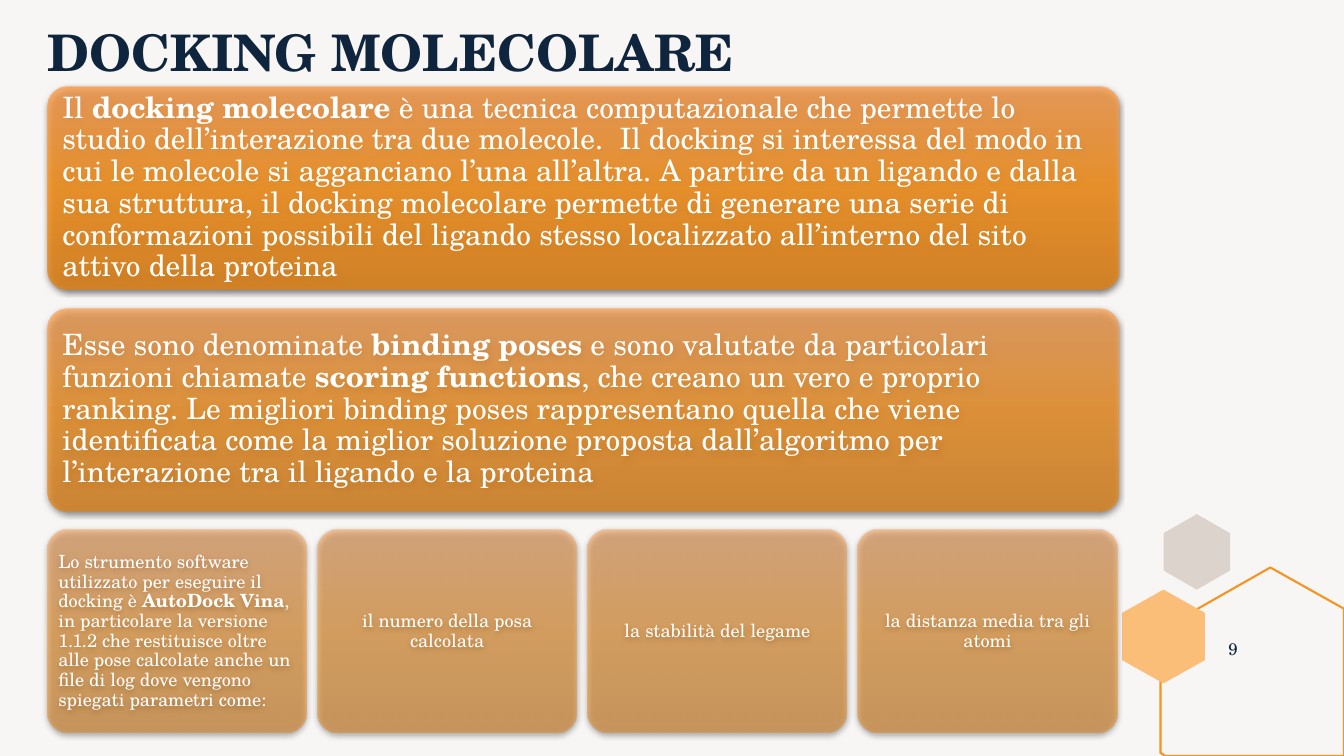
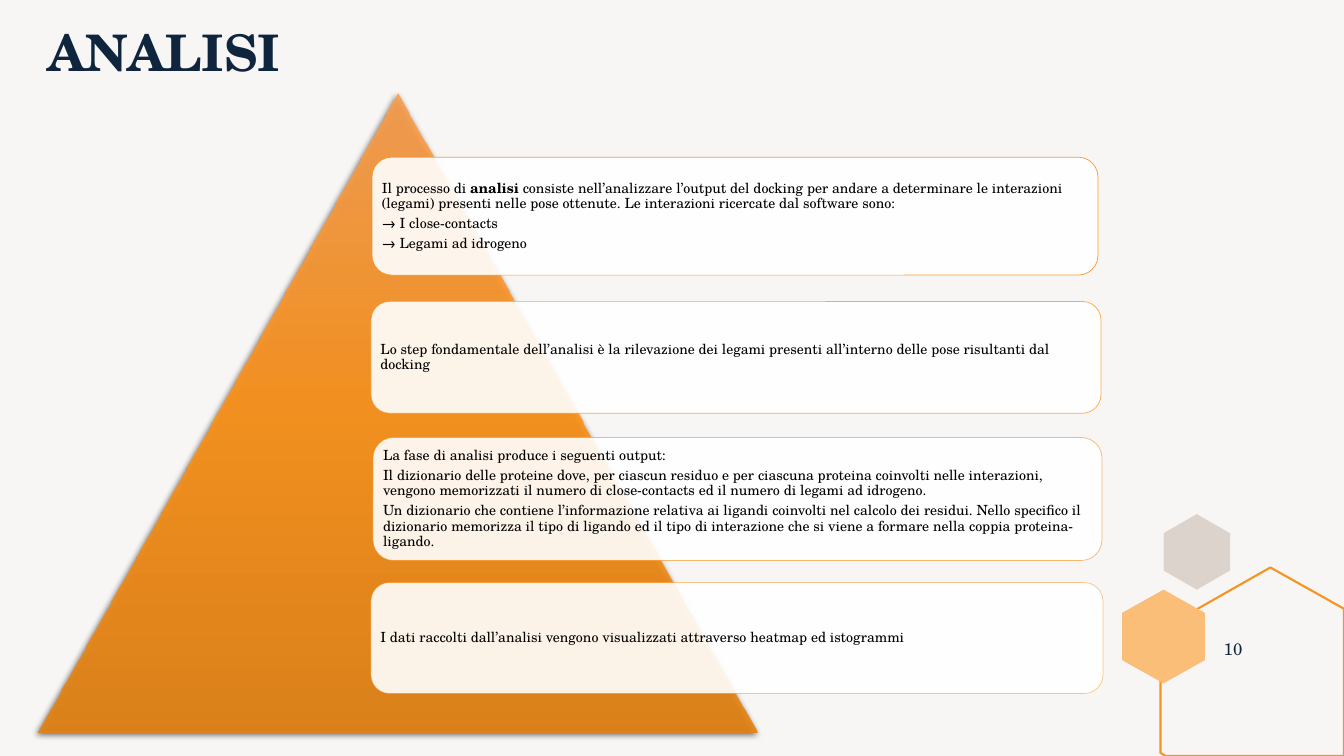
from dataclasses import dataclass

from lxml.etree import SubElement
from pptx import Presentation
from pptx.dml.color import RGBColor
from pptx.enum.shapes import MSO_SHAPE as Preset
from pptx.enum.text import MSO_ANCHOR as Anchor, PP_ALIGN as Align
from pptx.oxml.ns import qn
from pptx.util import Inches, Pt


@dataclass(frozen=True)
class Theme:
    font: str = "TeX Gyre Schola"
    background: str = "F8F6F5"
    navy: str = "0F253E"
    white: str = "FFFFFF"
    black: str = "000000"
    orange: str = "F79320"
    peach: str = "FABE79"
    taupe: str = "DCD3CC"
    gradient: tuple = ((0, "FB9F50"), (50, "FF9418"), (100, "E58313"))
    title_size: int = 36
    statement_size: int = 21
    detail_size: int = 13
    number_size: int = 12
    note_size: int = 10


theme = Theme()


def write(shape, *texts, size, color, bold=False, align=Align.LEFT,
          inset=0.05, side_inset=None, line_spacing=0.9):
    """Write one paragraph per text; words between ** marks are bold."""
    frame = shape.text_frame
    frame.word_wrap = True
    frame.vertical_anchor = Anchor.MIDDLE
    frame.margin_top = frame.margin_bottom = Inches(inset)
    frame.margin_left = frame.margin_right = Inches(side_inset or inset)
    for index, text in enumerate(texts):
        paragraph = frame.add_paragraph() if index else frame.paragraphs[0]
        paragraph.alignment = align
        paragraph.line_spacing = line_spacing
        if index < len(texts) - 1:
            paragraph.space_after = Pt(size * 0.35)
        for part, words in enumerate(text.split("**")):
            run = paragraph.add_run()
            run.text = words
            run.font.name = theme.font
            run.font.size = Pt(size)
            run.font.bold = bold or part % 2 == 1
            run.font.color.rgb = RGBColor.from_string(color)


def add_orange_shape(slide, preset, left, top, width, height, opacity):
    """Add a shape with the translucent orange gradient and a soft shadow."""
    shape = slide.shapes.add_shape(
        preset, Inches(left), Inches(top), Inches(width), Inches(height))
    shape.line.fill.background()
    shape.fill.gradient()
    shape.fill.gradient_angle = 270
    properties = shape.element.spPr
    stops = properties.find(".//" + qn("a:gsLst"))
    for stop in list(stops):
        stops.remove(stop)
    for position, color in theme.gradient:
        stop = SubElement(stops, qn("a:gs"), pos=str(position * 1000))
        tint = SubElement(stop, qn("a:srgbClr"), val=color)
        SubElement(tint, qn("a:alpha"), val=str(opacity * 1000))
    shape.shadow.inherit = False
    shadow = SubElement(
        properties.find(qn("a:effectLst")), qn("a:outerShdw"),
        blurRad=str(Pt(4.5)), dist=str(Pt(1.5)), dir="5400000",
        algn="ctr", rotWithShape="0")
    tint = SubElement(shadow, qn("a:srgbClr"), val=theme.black)
    SubElement(tint, qn("a:alpha"), val="63000")
    return shape


presentation = Presentation()
presentation.slide_width = Inches(13.33)
presentation.slide_height = Inches(7.5)

# Shared background, hexagons, title and slide number
hexagons = [
    ([(11.87, 5.1), (12.2, 5.29), (12.2, 5.66), (11.87, 5.85), (11.54, 5.66),
      (11.54, 5.29)], theme.taupe),
    ([(12.6, 5.63), (13.33, 6.04), (13.33, 7.5), (11.56, 7.5), (11.51, 7.47),
      (11.51, 6.25)], None),
    ([(11.54, 5.85), (11.95, 6.08), (11.95, 6.55), (11.54, 6.78),
      (11.13, 6.55), (11.13, 6.08)], theme.peach),
]
slides = []
for number, title in [(9, "DOCKING MOLECOLARE"), (10, "ANALISI")]:
    slide = presentation.slides.add_slide(presentation.slide_layouts[6])
    slides.append(slide)
    slide.background.fill.solid()
    slide.background.fill.fore_color.rgb = RGBColor.from_string(theme.background)
    for points, color in hexagons:
        corners = [(Inches(x), Inches(y)) for x, y in points]
        builder = slide.shapes.build_freeform(*corners[0])
        builder.add_line_segments(corners[1:], close=True)
        hexagon = builder.convert_to_shape()
        hexagon.shadow.inherit = False
        if color:
            hexagon.fill.solid()
            hexagon.fill.fore_color.rgb = RGBColor.from_string(color)
            hexagon.line.fill.background()
        else:
            hexagon.fill.background()
            hexagon.line.color.rgb = RGBColor.from_string(theme.orange)
            hexagon.line.width = Pt(1.5)
    title_box = slide.shapes.add_textbox(
        Inches(0.37), Inches(0.23), Inches(11.91), Inches(0.63))
    write(title_box, title, size=theme.title_size, color=theme.navy, bold=True,
          side_inset=0.1)
    number_box = slide.shapes.add_textbox(
        Inches(11.98), Inches(6.24), Inches(0.5), Inches(0.4))
    write(number_box, str(number), size=theme.number_size, color=theme.navy,
          align=Align.CENTER, line_spacing=1)
docking_slide, analysis_slide = slides

# Docking: two wide statements above a row of four details
card_left, card_top, card_height, row_pitch = 0.47, 0.86, 2.01, 2.2
statements = [
    ("Il **docking molecolare** è una tecnica computazionale che permette lo "
     "studio dell’interazione tra due molecole.  Il docking si interessa del "
     "modo in cui le molecole si agganciano l’una all’altra. A partire da un "
     "ligando e dalla sua struttura, il docking molecolare permette di generare "
     "una serie di conformazioni possibili del ligando stesso localizzato "
     "all’interno del sito attivo della proteina", 80),
    ("Esse sono denominate **binding poses** e sono valutate da particolari "
     "funzioni chiamate **scoring functions**, che creano un vero e proprio "
     "ranking. Le migliori binding poses rappresentano quella che viene "
     "identificata come la miglior soluzione proposta dall’algoritmo per "
     "l’interazione tra il ligando e la proteina", 70),
]
for row, (text, opacity) in enumerate(statements):
    card = add_orange_shape(docking_slide, Preset.ROUNDED_RECTANGLE, card_left,
                            card_top + row * row_pitch, 10.62, card_height, opacity)
    card.adjustments[0] = 0.1
    write(card, text, size=theme.statement_size, color=theme.white, inset=0.09)

details = [
    ("Lo strumento software utilizzato per eseguire il docking è **AutoDock "
     "Vina**, in particolare la versione 1.1.2 che restituisce oltre alle pose "
     "calcolate anche un file di log dove vengono spiegati parametri come:",
     Align.LEFT),
    ("il numero della posa calcolata", Align.CENTER),
    ("la stabilità del legame", Align.CENTER),
    ("la distanza media tra gli atomi", Align.CENTER),
]
for column, (text, align) in enumerate(details):
    card = add_orange_shape(docking_slide, Preset.ROUNDED_RECTANGLE,
                            card_left + column * 2.68, card_top + 2 * row_pitch,
                            2.57, card_height, 50)
    card.adjustments[0] = 0.1
    write(card, text, size=theme.detail_size, color=theme.white, align=align)

# Analysis: notes laid over a pyramid, their outlines fading downwards
add_orange_shape(analysis_slide, Preset.ISOSCELES_TRIANGLE,
                 0.37, 0.93, 7.14, 6.34, 90)
notes = [
    ((3.69, 1.56, 7.2, 1.17), 90, [
        "Il processo di **analisi** consiste nell’analizzare l’output del docking "
        "per andare a determinare le interazioni (legami) presenti nelle pose "
        "ottenute. Le interazioni ricercate dal software sono:",
        "→ I close-contacts",
        "→ Legami ad idrogeno"]),
    ((3.68, 2.99, 7.24, 1.11), 77, [
        "Lo step fondamentale dell’analisi è la rilevazione dei legami presenti "
        "all’interno delle pose risultanti dal docking"]),
    ((3.7, 4.34, 7.23, 1.22), 63, [
        "La fase di analisi produce i seguenti output:",
        "Il dizionario delle proteine dove, per ciascun residuo e per ciascuna "
        "proteina coinvolti nelle interazioni, vengono memorizzati il numero di "
        "close-contacts ed il numero di legami ad idrogeno.",
        "Un dizionario che contiene l’informazione relativa ai ligandi coinvolti "
        "nel calcolo dei residui. Nello specifico il dizionario memorizza il tipo "
        "di ligando ed il tipo di interazione che si viene a formare nella coppia "
        "proteina-ligando."]),
    ((3.68, 5.78, 7.26, 1.1), 50, [
        "I dati raccolti dall’analisi vengono visualizzati attraverso heatmap ed "
        "istogrammi"]),
]
for bounds, line_opacity, texts in notes:
    note = analysis_slide.shapes.add_shape(
        Preset.ROUNDED_RECTANGLE, *[Inches(length) for length in bounds])
    note.shadow.inherit = False
    note.fill.solid()
    note.fill.fore_color.rgb = RGBColor.from_string(theme.white)
    note.line.color.rgb = RGBColor.from_string(theme.orange)
    note.line.width = Pt(0.5)
    colors = list(note.element.spPr.iter(qn("a:srgbClr")))
    for color, opacity in zip(colors, (90, line_opacity)):
        SubElement(color, qn("a:alpha"), val=str(opacity * 1000))
    write(note, *texts, size=theme.note_size, color=theme.black, inset=0.04)

presentation.save("out.pptx")
